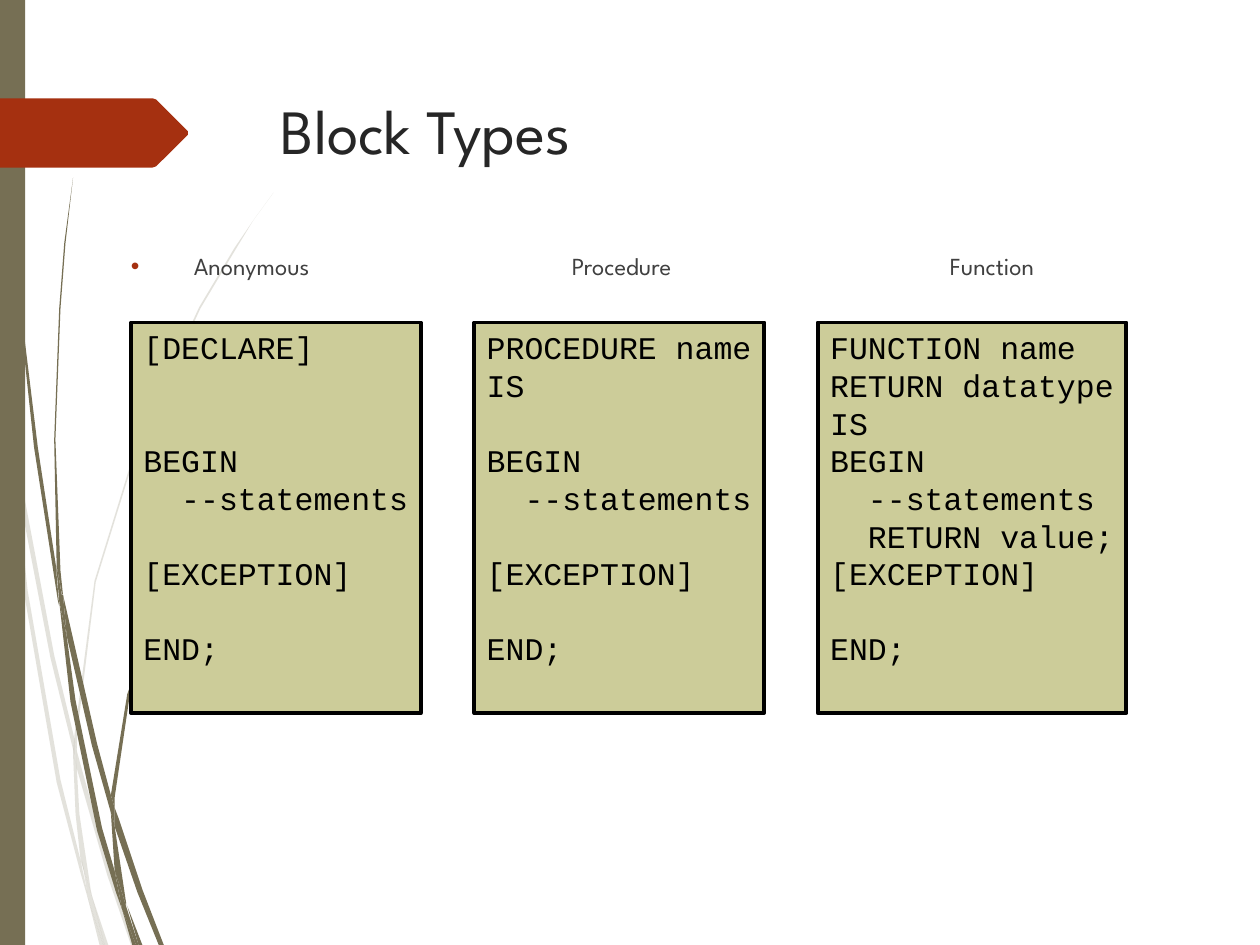
import pptx
import pptx.dml.color
import pptx.enum.shapes
import pptx.enum.text
import pptx.oxml
import pptx.oxml.ns
import pptx.util

WIDTH, HEIGHT = 10, 7.5
COLORS = {
    "olive": "766F54", "rust": "A53010", "khaki": "CCCC99",
    "title": "262626", "label": "404040", "code": "000000",
}
SANS, MONO = "League Spartan", "Courier New"

TITLE = "Block Types"
BLOCKS = [
    ("Anonymous", ["[DECLARE]", "", "", "BEGIN", "  --statements", "",
                   "[EXCEPTION]", "", "END;"]),
    ("Procedure", ["PROCEDURE name", "IS", "", "BEGIN", "  --statements", "",
                   "[EXCEPTION]", "", "END;"]),
    ("Function", ["FUNCTION name", "RETURN datatype", "IS", "BEGIN", "  --statements",
                  "  RETURN value;", "[EXCEPTION]", "", "END;"]),
]

PALE_STEMS = [
    [(0.08, 3.5), (0.06, 3.22), (0, 2.82), (0, 2.99), (0.07, 3.44)],
    [(0.4, 5.22), (0.59, 5.99), (0.59, 5.86), (0.43, 5.2), (0.1, 3.45), (0.12, 3.76)],
    [(0.64, 6.07), (0.61, 5.96), (0.61, 6.1), (0.85, 6.94), (1.04, 7.5), (1.08, 7.5),
     (0.88, 6.92)],
    [(0.83, 7.5), (0.86, 7.5), (0.73, 7.11)],
    [(0.64, 6.83), (0.48, 6.19), (0.22, 4.69), (0.12, 3.76), (0.08, 3.5), (0.19, 4.7),
     (0.45, 6.21), (0.64, 6.93), (0.7, 7.14), (0.69, 7.07)],
    [(0.58, 5.99), (0.6, 6.46), (0.64, 6.83), (0.67, 6.92), (0.73, 7.11), (0.72, 7.06),
     (0.63, 6.46), (0.61, 6.1), (0.61, 6.08)],
    [(0.61, 5.84), (0.76, 4.62), (1.11, 3.49), (1.59, 2.45), (1.87, 1.98), (2.01, 1.75),
     (2.17, 1.53), (2.01, 1.75), (1.86, 1.97), (1.58, 2.44), (1.1, 3.48), (0.75, 4.61),
     (0.59, 5.84), (0.59, 5.86), (0.61, 5.96)],
    [(0.7, 7.14), (0.79, 7.5), (0.82, 7.5)],
    [(0.61, 6.08), (0.61, 6.1), (0.61, 5.96), (0.59, 5.86), (0.58, 5.99)],
    [(0.67, 6.92), (0.65, 6.83), (0.69, 7.07), (0.7, 7.14), (0.82, 7.5), (0.83, 7.5),
     (0.73, 7.11)],
]
DARK_STEMS = [
    [(0.05, 1.1), (0.14, 2.33), (0.27, 3.55), (0.46, 4.77), (0.47, 4.81), (0.45, 4.57),
     (0.45, 4.53), (0.3, 3.55), (0.15, 2.32), (0.06, 1.09), (0.04, 0.48), (0.03, 0),
     (0.02, 0), (0.03, 0.48)],
    [(0.73, 5.92), (0.88, 6.45), (0.88, 6.31), (0.77, 5.9), (0.5, 4.72), (0.53, 5.05)],
    [(0.94, 6.49), (0.91, 6.41), (0.91, 6.56), (1.09, 7.08), (1.26, 7.5), (1.3, 7.5),
     (1.13, 7.06)],
    [(0.91, 6.91), (0.81, 6.57), (0.6, 5.56), (0.53, 5.05), (0.47, 4.77), (0.56, 5.57),
     (0.77, 6.59), (0.92, 7.08), (0.97, 7.22), (0.96, 7.17)],
    [(0.5, 4.72), (0.48, 4.53), (0.44, 3.49), (0.48, 2.45), (0.52, 1.93), (0.58, 1.41),
     (0.51, 1.93), (0.47, 2.45), (0.43, 3.49), (0.45, 4.49), (0.49, 4.71)],
    [(1.1, 7.5), (1.13, 7.5), (1.01, 7.19)],
    [(0.47, 4.77), (0.53, 5.05), (0.5, 4.72), (0.49, 4.72), (0.45, 4.49), (0.45, 4.53)],
    [(0.91, 6.33), (1.03, 5.52), (1.31, 4.76), (1.69, 4.06), (1.91, 3.74), (2.03, 3.59),
     (2.16, 3.44), (2.03, 3.58), (1.91, 3.73), (1.68, 4.05), (1.29, 4.74), (1.01, 5.51),
     (0.88, 6.31), (0.91, 6.41)],
    [(0.97, 7.22), (1.05, 7.5), (1.08, 7.5)],
    [(0.88, 6.45), (0.91, 6.91), (0.96, 7.06), (1, 7.19), (1, 7.16), (0.91, 6.56),
     (0.9, 6.51)],
    [(0.88, 6.45), (0.9, 6.51), (0.91, 6.56), (0.91, 6.41), (0.88, 6.31), (0.88, 6.33)],
    [(0.96, 7.06), (0.91, 6.91), (0.96, 7.17), (0.97, 7.22), (1.08, 7.5), (1.1, 7.5),
     (1, 7.19)],
]
TAG = [(0, 0.78), (1.21, 0.78), (1.24, 0.79), (1.49, 1.04), (1.49, 1.07), (1.24, 1.32),
       (1.21, 1.33), (0, 1.33)]

GRID_LEFT, GRID_TOP, COLUMN_PITCH, ROW_HEIGHT = 1.04, 2.56, 2.725, 3.1
CHAR_WIDTH, SIDE_INSET, LINE_PITCH = 0.15, 0.1, 21.5
LABEL_TAB, LABEL_PITCH = 0.5, 3


def inches(*lengths):
    return [pptx.util.Inches(length) for length in lengths]


def rgb(key):
    return pptx.dml.color.RGBColor.from_string(COLORS[key])


def paint(shape, color):
    shape.shadow.inherit = False
    shape.fill.solid()
    shape.fill.fore_color.rgb = rgb(color)
    shape.line.fill.background()


def draw_outline(shapes, points, color, opacity=100):
    start, *rest = [(round(x * 100), round(y * 100)) for x, y in points]
    builder = shapes.build_freeform(*start, scale=pptx.util.Inches(0.01))
    builder.add_line_segments(rest, close=True)
    outline = builder.convert_to_shape()
    paint(outline, color)
    if opacity < 100:
        tint = outline.fill._xPr.find(".//" + pptx.oxml.ns.qn("a:srgbClr"))
        tint.append(pptx.oxml.parse_xml(
            f'<a:alpha {pptx.oxml.ns.nsdecls("a")} val="{opacity * 1000}"/>'))


def draw_bar(shapes, left, top, width, height, color):
    bar = shapes.add_shape(pptx.enum.shapes.MSO_SHAPE.RECTANGLE,
                           *inches(left, top, width, height))
    paint(bar, color)
    return bar


def style(paragraph, font, size, color):
    paragraph.alignment = pptx.enum.text.PP_ALIGN.LEFT
    for run in paragraph.runs:
        run.font.name = font
        run.font.size = pptx.util.Pt(size)
        run.font.color.rgb = rgb(color)


def add_line(shapes, place, text, size, color):
    frame = shapes.add_textbox(*inches(*place)).text_frame
    frame.word_wrap = True
    frame.text = text
    style(frame.paragraphs[0], SANS, size, color)
    return frame.paragraphs[0]


def add_labels(shapes):
    labels = "".join("\t" + label for label, _ in BLOCKS)
    line = add_line(shapes, (GRID_LEFT - SIDE_INSET, 1.99, 8.06, 0.39), labels, 14, "label")
    properties = line._p.get_or_add_pPr()
    indent = pptx.util.Inches(0.38)
    properties.set("marL", str(indent))
    properties.set("indent", str(-indent))
    stops = "".join(
        f'<a:tab pos="{pptx.util.Inches(LABEL_TAB + LABEL_PITCH * column)}" algn="l"/>'
        for column in range(len(BLOCKS)))
    for element in (
        f'<a:buClr %s><a:srgbClr val="{COLORS["rust"]}"/></a:buClr>',
        '<a:buFont %s typeface="Arial"/>',
        '<a:buChar %s char="•"/>',
        f'<a:tabLst %s>{stops}</a:tabLst>',
    ):
        properties.append(pptx.oxml.parse_xml(element % pptx.oxml.ns.nsdecls("a")))
    line.line_spacing = 0.8


def add_code(shapes, column, lines):
    width = max(14, max(map(len, lines))) * CHAR_WIDTH + 2 * SIDE_INSET
    panel = draw_bar(shapes, GRID_LEFT + column * COLUMN_PITCH, GRID_TOP, width,
                     ROW_HEIGHT, "khaki")
    panel.line.color.rgb = rgb("code")
    panel.line.width = pptx.util.Pt(2.25)
    frame = panel.text_frame
    frame.word_wrap = False
    frame.vertical_anchor = pptx.enum.text.MSO_ANCHOR.TOP
    filled = [row for row, line in enumerate(lines) if line]
    frame.text = "\n".join(lines[row] for row in filled)
    for paragraph, row, previous in zip(frame.paragraphs, filled, [-1] + filled):
        style(paragraph, MONO, 18, "code")
        paragraph.line_spacing = pptx.util.Pt(LINE_PITCH)
        if row - previous > 1:
            paragraph.space_before = pptx.util.Pt((row - previous - 1) * LINE_PITCH)


def main():
    deck = pptx.Presentation()
    deck.slide_width, deck.slide_height = inches(WIDTH, HEIGHT)
    shapes = deck.slides.add_slide(deck.slide_layouts[6]).shapes
    for stems, opacity in ((PALE_STEMS, 20), (DARK_STEMS, 100)):
        for stem in stems:
            draw_outline(shapes, stem, "olive", opacity)
    draw_bar(shapes, 0, 0, WIDTH * 0.02, HEIGHT, "olive")
    draw_outline(shapes, TAG, "rust")
    add_line(shapes, (2.13, 0.68, 7.21, 1.4), TITLE, 36, "title")
    add_labels(shapes)
    for column, (_, lines) in enumerate(BLOCKS):
        add_code(shapes, column, lines)
    deck.save("out.pptx")


if __name__ == "__main__":
    main()
